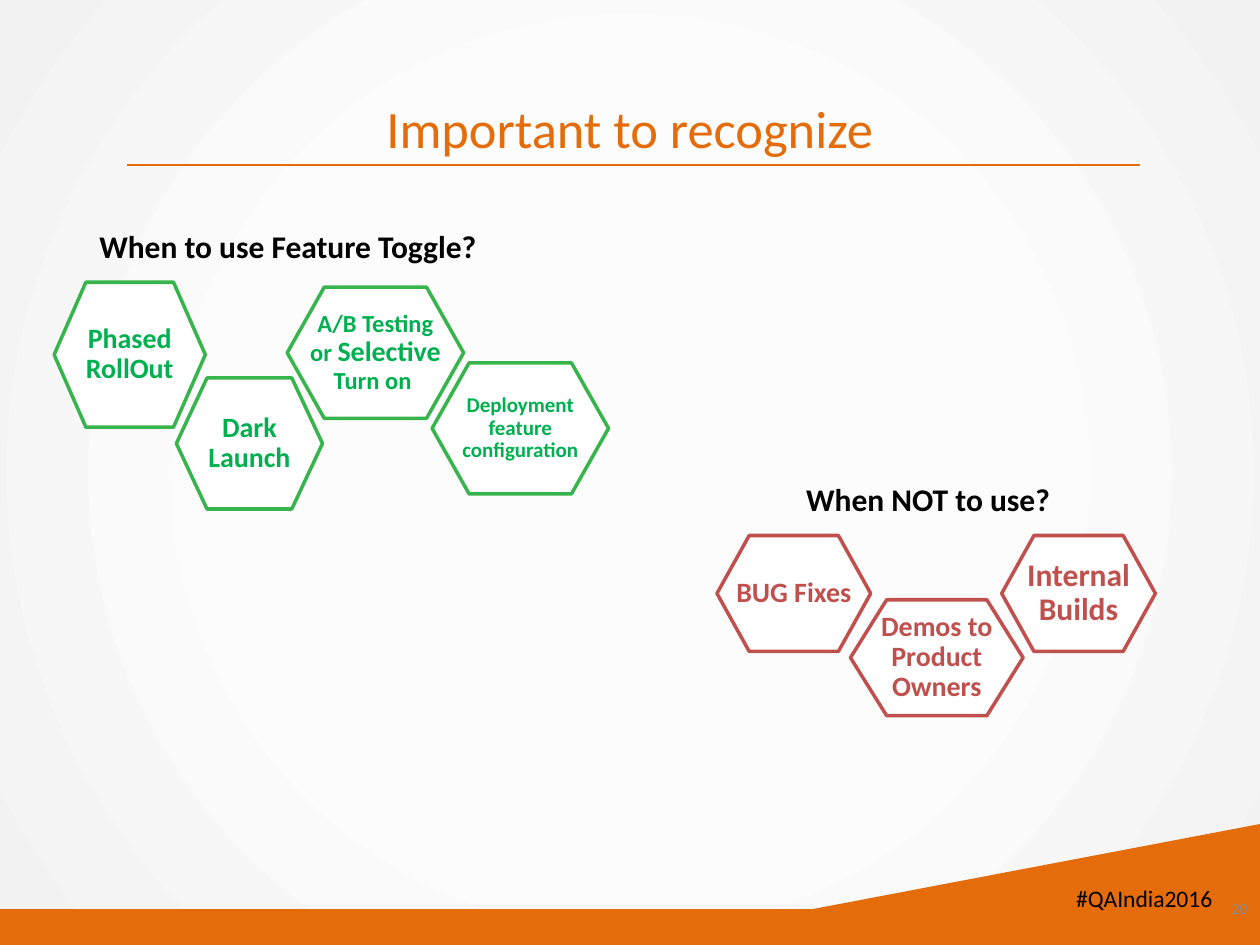
from lxml import etree
from pptx import Presentation, util as u
from pptx.dml.color import RGBColor
from pptx.enum import shapes, text
from pptx.oxml import ns, parse_xml

COLORS = {
    "orange": "E46C0A", "black": "000000", "grey": "8C8C8C", "white": "FFFFFF",
    "use": "00B050", "use edge": "38B44D", "avoid": "C0504D", "avoid edge": "C0504D",
}
BACKDROP = [(0, "FFFFFF"), (48, "FCFCFC"), (100, "F2F2F2")]

deck = Presentation()
deck.slide_width, deck.slide_height = u.Inches(10), u.Inches(7.5)
COL, ROW = deck.slide_width / 40, deck.slide_height / 30
slide = deck.slides.add_slide(deck.slide_layouts[6])


def outline(points, fill, edge=None):
    corners = [(round(x * COL), round(y * ROW)) for x, y in points]
    builder = slide.shapes.build_freeform(*corners[0])
    builder.add_line_segments(corners[1:], close=True)
    body = builder.convert_to_shape()
    body.shadow.inherit = False
    body.fill.solid()
    body.fill.fore_color.rgb = RGBColor.from_string(COLORS[fill])
    if edge:
        body.line.color.rgb = RGBColor.from_string(COLORS[edge])
        body.line.width = u.Pt(2)
    else:
        body.line.fill.background()
    return body


def write(frame, pieces, color, align, anchor):
    frame.vertical_anchor = anchor
    paragraph = frame.paragraphs[0]
    paragraph.alignment = align
    for words, size, bold in pieces:
        run = paragraph.add_run()
        run.text = words
        run.font.name, run.font.size, run.font.bold = "Calibri", u.Pt(size), bold
        run.font.color.rgb = RGBColor.from_string(COLORS[color])
    return paragraph


stops = "".join(
    f'<a:gs pos="{share * 1000}"><a:srgbClr val="{shade}"/></a:gs>' for share, shade in BACKDROP
)
glow = parse_xml(
    f'<a:gradFill {ns.nsdecls("a")} rotWithShape="1"><a:gsLst>{stops}</a:gsLst><a:path path="circle">'
    '<a:fillToRect l="50000" t="50000" r="50000" b="50000"/></a:path></a:gradFill>'
)
slide.background.fill.solid()
solid = slide.element.find(".//" + ns.qn("p:bgPr")).find(ns.qn("a:solidFill"))
solid.getparent().replace(solid, glow)

outline([(0, 28.87), (40, 28.87), (40, 30), (0, 30)], "orange")
outline([(24.44, 29.12), (40, 26.16), (40, 29.76), (24.48, 29.76)], "orange")

rule = slide.shapes.add_connector(
    shapes.MSO_CONNECTOR.STRAIGHT,
    *(round(v) for v in (4.04 * COL, 5.24 * ROW, 36.2 * COL, 5.24 * ROW)),
)
rule.line.color.rgb = RGBColor.from_string(COLORS["orange"])
rule.line.width = u.Pt(0.75)
etree.SubElement(rule.element.spPr, ns.qn("a:effectLst"))

LEFT, CENTER, RIGHT = text.PP_ALIGN.LEFT, text.PP_ALIGN.CENTER, text.PP_ALIGN.RIGHT
TOP, MIDDLE = text.MSO_ANCHOR.TOP, text.MSO_ANCHOR.MIDDLE
labels = [
    ("#QAIndia2016", 32.88, 27.88, 6, 1.32, 13.5, False, "black", RIGHT, TOP),
    ("Important to recognize", 1, 2, 38, 4.08, 30, False, "orange", CENTER, MIDDLE),
    ("20", 38.4, 28.04, 1.6, 1.6, 9, False, "grey", RIGHT, MIDDLE),
    ("When NOT to use?", 25.2, 15.04, 9.72, 1.6, 18, True, "black", LEFT, TOP),
    ("When to use Feature Toggle?", 2.76, 7, 14.92, 1.6, 18, True, "black", LEFT, TOP),
]
for words, x, y, w, h, size, bold, color, align, anchor in labels:
    label = slide.shapes.add_textbox(*(round(v) for v in (x * COL, y * ROW, w * COL, h * ROW)))
    label.text_frame.word_wrap = anchor == MIDDLE
    if anchor == TOP:
        label.text_frame.auto_size = text.MSO_AUTO_SIZE.SHAPE_TO_FIT_TEXT
    write(label.text_frame, [(words, size, bold)], color, align, anchor)

cases = [
    ("avoid", 27, 19.04, 5.48, 3.68, [("Demos to Product Owners", 16, True)]),
    ("avoid", 22.76, 17, 4.88, 3.68, [("BUG Fixes", 16, True)]),
    ("avoid", 31.8, 17, 4.88, 3.68, [("Internal Builds", 18, True)]),
    ("use", 5.6, 12, 4.64, 4.16, [("Dark Launch", 16, True)]),
    ("use", 9.12, 9.12, 5.6, 4.16,
     [("A/B Testing or ", 14, True), ("Selective", 16, True), (" Turn on ", 14, True)]),
    ("use", 1.72, 8.96, 4.8, 4.6,
     [("Phased", 16, True), (" ", 10, False), ("RollOut", 16, True)]),
    ("use", 13.72, 11.52, 5.6, 4.16, [("Deployment feature configuration", 12, True)]),
]
for group, x, y, w, h, pieces in cases:
    slant, middle = 0.21 * w, y + h / 2
    hexagon = outline(
        [(x, middle), (x + slant, y), (x + w - slant, y),
         (x + w, middle), (x + w - slant, y + h), (x + slant, y + h)],
        "white", group + " edge",
    )
    frame = hexagon.text_frame
    frame.word_wrap = True
    frame.margin_left = frame.margin_right = round(0.6 * COL)
    frame.margin_top = frame.margin_bottom = round(0.56 * ROW)
    write(frame, pieces, group, CENTER, MIDDLE).line_spacing = 0.9

deck.save("out.pptx")
